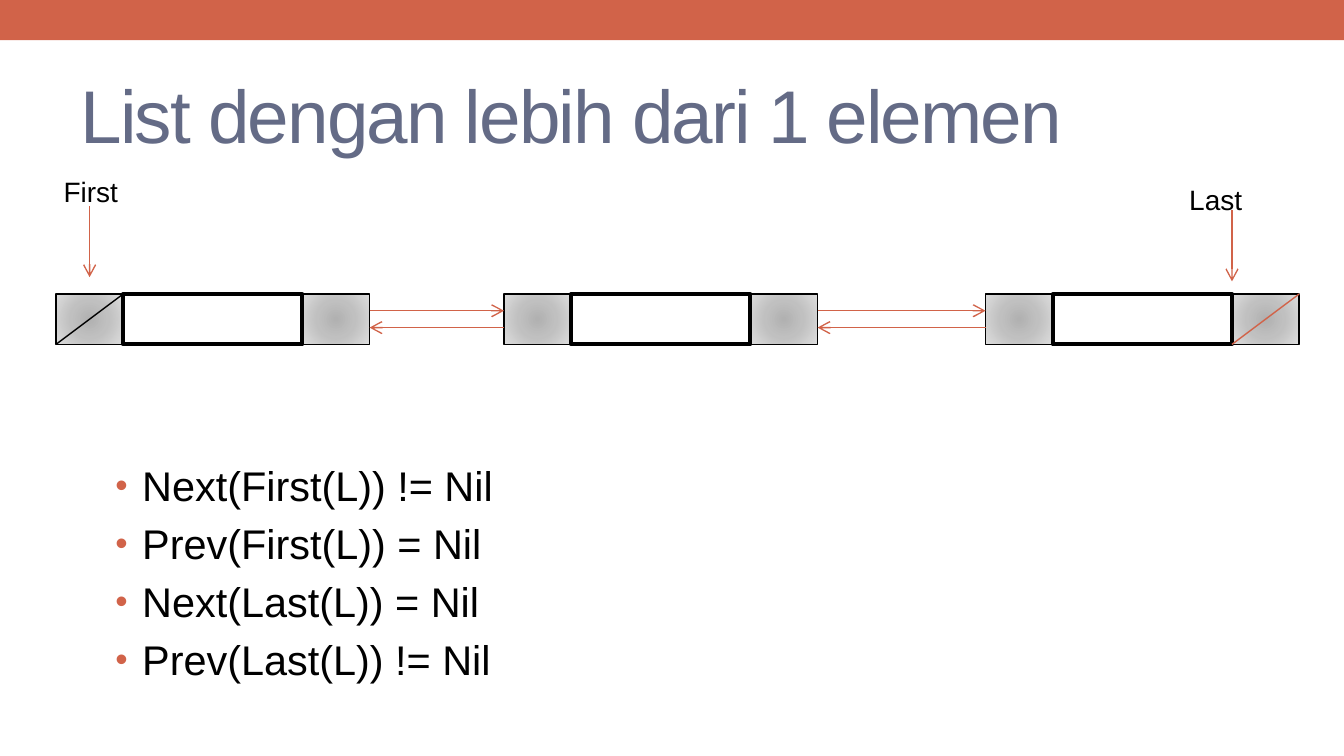
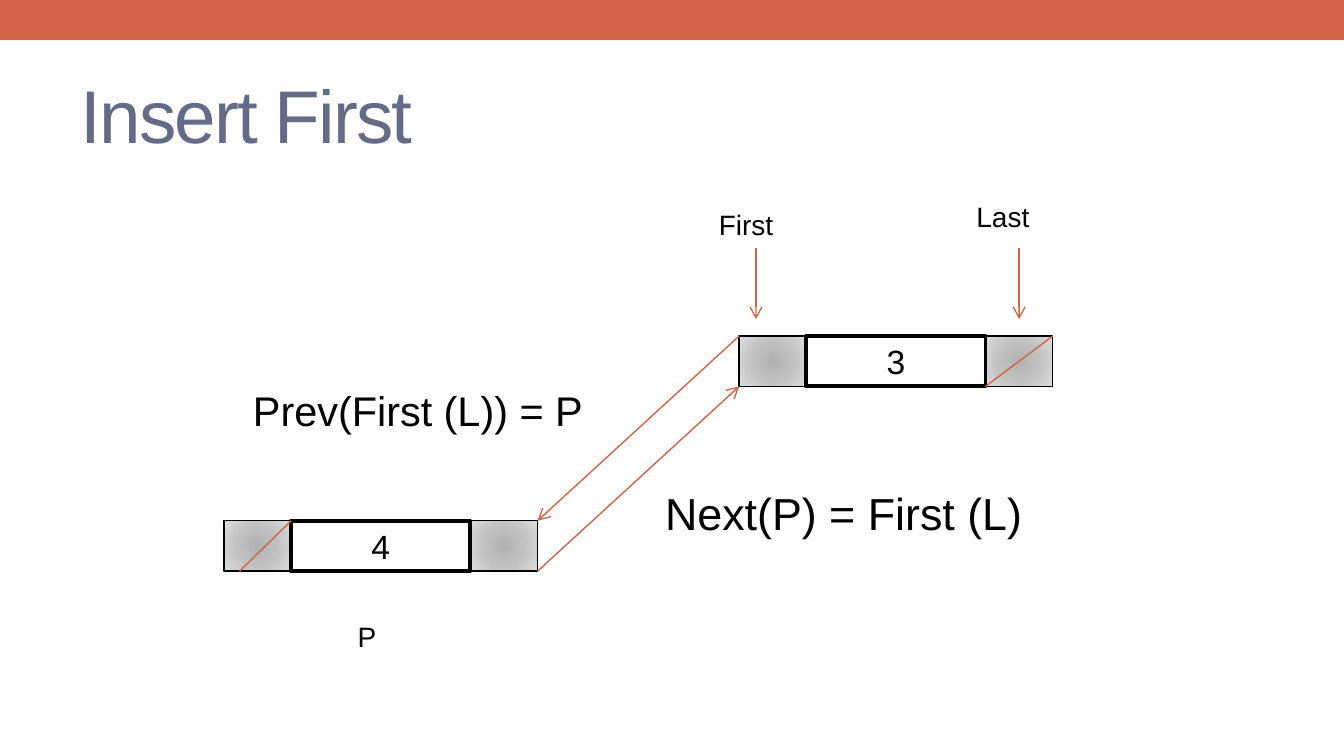
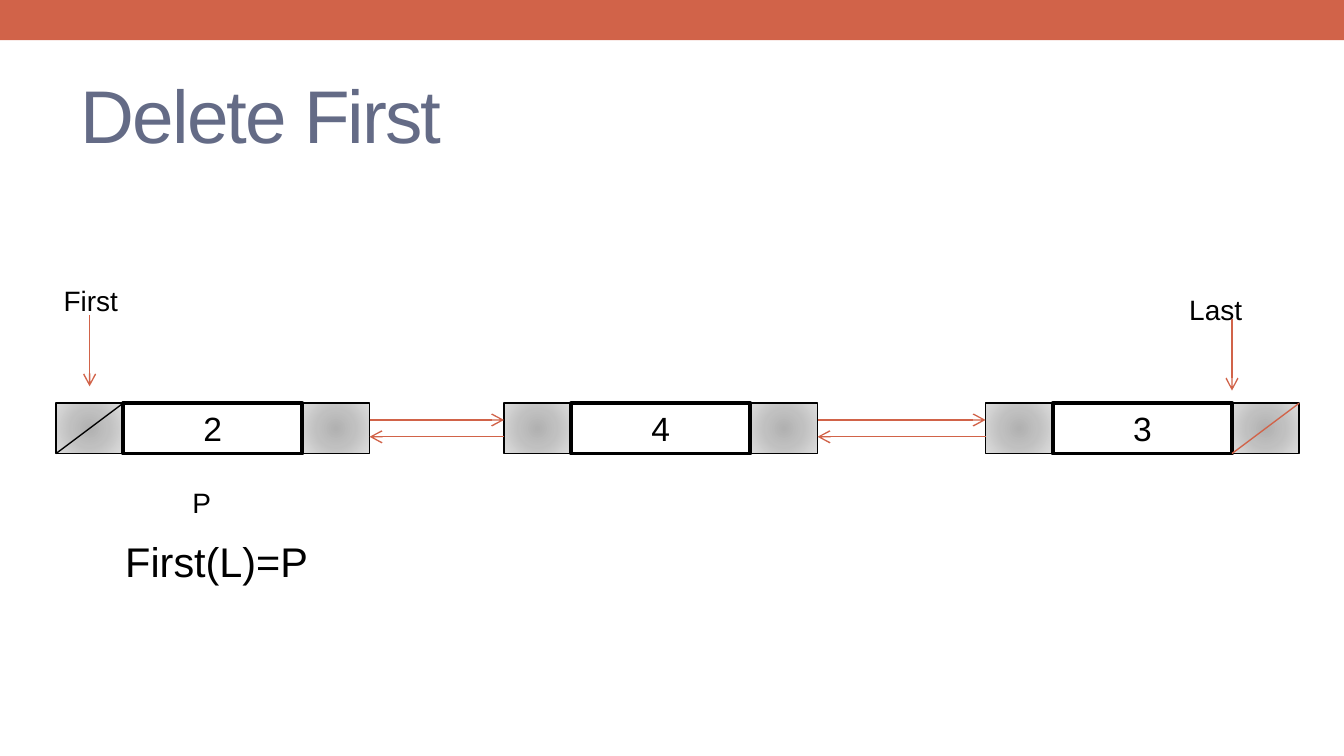
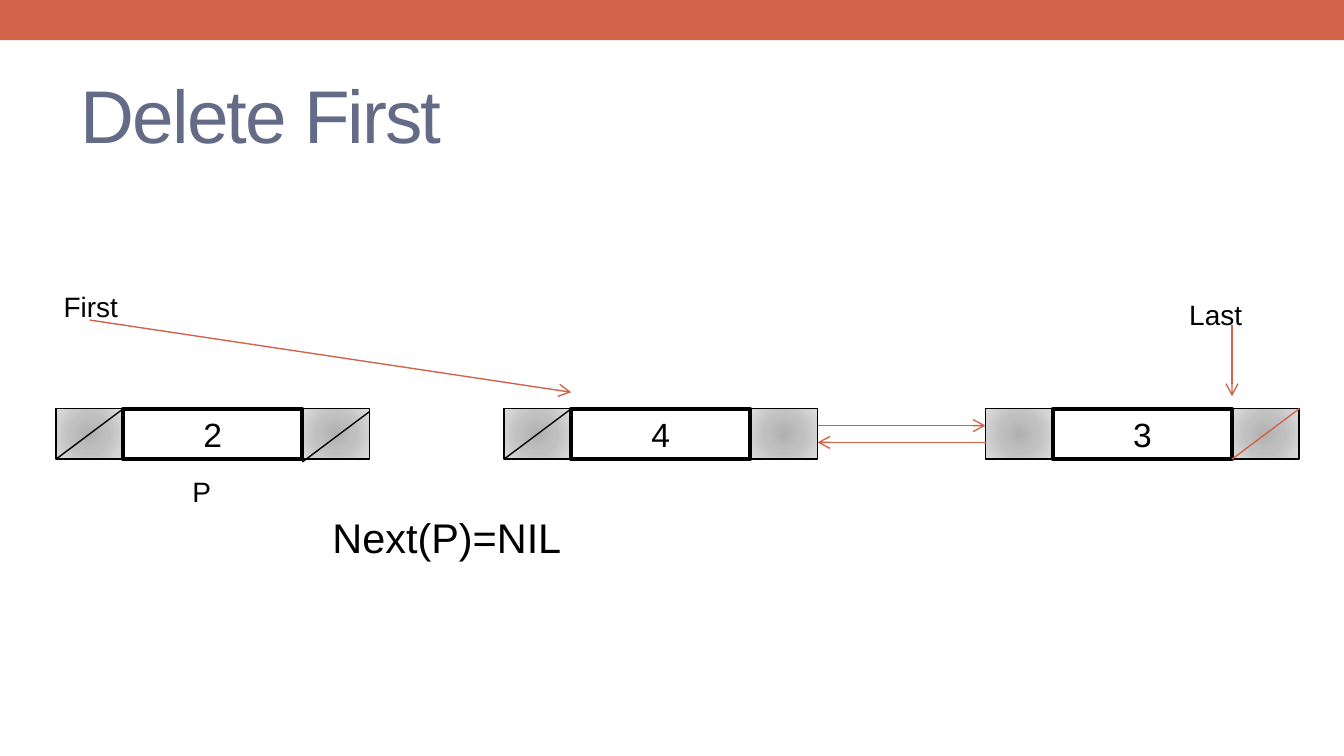
"""Build four slides on doubly linked lists."""
import lxml.etree
import pptx
import pptx.dml.color
import pptx.enum.shapes
import pptx.enum.text
import pptx.oxml
import pptx.oxml.ns
import pptx.util

HUES = {"band": "D16349", "title": "646B86", "ink": "000000", "cell": "FFFFFF"}
SHADE = {0: "B1B1B1", 45: "C0C0C0", 100: "DDDDDD"}
FACE = "Arial"
SPACE = '<a:spcBef %s><a:spcPct val="20000"/></a:spcBef>'
DOT = ('<a:buClr %s><a:srgbClr val="' + HUES["band"] + '"/></a:buClr>',
       '<a:buSzPct %s val="85000"/>', '<a:buFont %s typeface="Arial"/>',
       '<a:buChar %s char="•"/>')
STOPS = "".join(f'<a:gs pos="{at}000"><a:srgbClr val="{hue}"/></a:gs>'
                for at, hue in SHADE.items())
GRAD = ('<a:gradFill %s rotWithShape="1"><a:gsLst>' + STOPS + '</a:gsLst><a:path path="circle">'
        '<a:fillToRect l="100000" t="100000" r="100000" b="100000"/></a:path></a:gradFill>')
SPACE, GRAD, *DOT = [xml % pptx.oxml.ns.nsdecls("a") for xml in (SPACE, GRAD, *DOT)]

deck = pptx.Presentation()
deck.slide_width = pptx.util.Inches(10)
deck.slide_height = pptx.util.Inches(5.625)
COL, ROW = deck.slide_width / 120, deck.slide_height / 90
RECT = pptx.enum.shapes.MSO_SHAPE.RECTANGLE
PLACE = ("left", "top", "width", "height")
ALIGN = pptx.enum.text.PP_ALIGN
MID = pptx.enum.text.MSO_ANCHOR.MIDDLE
FIT = pptx.enum.text.MSO_AUTO_SIZE.NONE


def grid(*spots):
    """Turn column and row pairs into lengths."""
    return [round(spot * (ROW if i % 2 else COL)) for i, spot in enumerate(spots)]


def write(frame, lines, size, hue="ink", align=ALIGN.LEFT):
    """Fill a text frame with formatted lines."""
    form = {"word_wrap": True, "auto_size": FIT}
    for key, val in form.items():
        setattr(frame, key, val)
    frame.text = "\n".join(lines)
    for para in frame.paragraphs:
        para.alignment = align
        font = para.runs[0].font
        for key, val in {"name": FACE, "size": pptx.util.Pt(size)}.items():
            setattr(font, key, val)
        font.color.rgb = pptx.dml.color.RGBColor.from_string(HUES[hue])


def chain(y):
    """Give the links, slashes and arrow that each full list shares."""
    return [(73, y + 2, 88, y + 2, "band", True), (88, y + 4, 73, y + 4, "band", True),
            (110, y - 10, 110, y - 1.5, "band", True),
            (116, y, 110, y + 6, "band", False), (11, y, 5, y + 6, "ink", False)]


HEADS = {35: 35, 48: 48, 48.67: 48.67}
ENDS = {y: [("First", 4.5, y - 15, 9, 5, 15), ("Last", 105, y - 14, 10, 5, 15)] for y in HEADS}
PAIR = {y: [(33, y + 2, 45, y + 2, "band", True), (45, y + 4, 33, y + 4, "band", True),
            (8, y - 10.5, 8, y - 2, "band", True)] for y in HEADS}

PAGES = [
    {"title": "List dengan lebih dari 1 elemen",
     "list": ["Next(First(L)) != Nil", "Prev(First(L)) = Nil",
              "Next(Last(L)) = Nil", "Prev(Last(L)) != Nil"],
     "nodes": [(5, 35, ""), (45, 35, ""), (88, 35, "")],
     "notes": ENDS[35], "lines": chain(35) + PAIR[35]},
    {"title": "Insert First",
     "nodes": [(66, 40, "3"), (20, 62, "4")],
     "notes": [("First", 63, 23.9, 9, 5, 15), ("Last", 86, 23, 10, 5, 15),
               ("P", 30.75, 73, 4.5, 5, 15),
               ("Next(P) = First (L)", 58.2, 57, 35, 10, 24),
               ("Prev(First (L)) = P", 21.4, 45.1, 38, 7, 22.2)],
     "lines": [(94, 40, 88, 46, "band", False), (26, 62, 21.4, 68, "band", False),
               (67.5, 29.5, 67.5, 38, "band", True), (91, 29.5, 91, 38, "band", True),
               (48, 68, 66, 46, "band", True), (66, 40, 48, 62, "band", True)]},
    {"title": "Delete First",
     "nodes": [(5, 48, "2"), (45, 48, "4"), (88, 48, "3")],
     "notes": ENDS[48] + [("First(L)=P", 10, 63, 21, 7, 22.2), ("P", 16, 57, 6, 5, 15)],
     "lines": chain(48) + PAIR[48]},
    {"title": "Delete First",
     "nodes": [(5, 48.67, "2"), (45, 48.67, "4"), (88, 48.67, "3")],
     "notes": ENDS[48.67] + [("Next(P)=NIL", 28.5, 60.2, 33, 7, 22.2),
                             ("P", 16, 55.7, 6, 5, 15)],
     "lines": chain(48.67) + [(8, 38.1, 51, 46.7, "band", True),
                              (51, 48.67, 45, 54.67, "ink", False),
                              (33, 49, 27, 55, "ink", False)]},
]

for page in PAGES:
    slide = deck.slides.add_slide(deck.slide_layouts[1 if "list" in page else 5])
    shapes = slide.shapes
    if page is PAGES[0]:
        band = shapes.add_shape(RECT, 0, 0, *grid(120, 4.8))
        band.shadow.inherit = False
        band.fill.solid()
        band.fill.fore_color.rgb = pptx.dml.color.RGBColor.from_string(HUES["band"])
        band.line.fill.background()
        band.element.nvSpPr.cNvPr.set("id", "99")
        deck.slide_master.shapes.element.insert(2, band.element)

    title = shapes.title
    for key, val in zip(PLACE, grid(6, 7, 108, 13)):
        setattr(title, key, val)
    write(title.text_frame, [page["title"]], 40, "title")
    title.text_frame.vertical_anchor = MID
    title.text_frame.paragraphs[0].runs[0].font.element.set("spc", "-100") if hasattr(
        title.text_frame.paragraphs[0].runs[0].font, "element") else (
        title.text_frame.paragraphs[0].runs[0]._r.get_or_add_rPr().set("spc", "-100"))

    if "list" in page:
        body = slide.placeholders[1]
        for key, val in zip(PLACE, grid(9.1, 54, 45, 26)):
            setattr(body, key, val)
        write(body.text_frame, page["list"], 22.2)
        for para in body.text_frame.paragraphs:
            props = para._p.get_or_add_pPr()
            for key, val in {"marL": "182880", "indent": "-182880"}.items():
                props.set(key, val)
            for xml in (SPACE, *DOT):
                props.append(pptx.oxml.parse_xml(xml))

    for x, y, value in page["nodes"]:
        for left, wide, thick in ((x, 6, 0.75), (x + 22, 6, 0.75), (x + 6, 16, 2.08)):
            cell = shapes.add_shape(RECT, *grid(left, y, wide, 6))
            cell.shadow.inherit = False
            cell.line.color.rgb = pptx.dml.color.RGBColor.from_string(HUES["ink"])
            cell.line.width = pptx.util.Pt(thick)
            if wide == 6:
                cell.element.spPr.insert(2, pptx.oxml.parse_xml(GRAD))
                continue
            cell.fill.solid()
            cell.fill.fore_color.rgb = pptx.dml.color.RGBColor.from_string(HUES["cell"])
            if value:
                write(cell.text_frame, [value], 18, align=ALIGN.CENTER)
                cell.text_frame.vertical_anchor = MID

    for text, *spot, size in page["notes"]:
        note = shapes.add_textbox(*grid(*spot))
        write(note.text_frame, [text], size)
        props = note.text_frame.paragraphs[0]._p.get_or_add_pPr()
        props.append(pptx.oxml.parse_xml(SPACE))

    for *ends, hue, arrow in page["lines"]:
        line = shapes.add_connector(pptx.enum.shapes.MSO_CONNECTOR.STRAIGHT, *grid(*ends))
        line.line.color.rgb = pptx.dml.color.RGBColor.from_string(HUES[hue])
        line.line.width = pptx.util.Pt(0.75)
        props = line.element.spPr
        if arrow:
            tip = lxml.etree.SubElement(props.find(pptx.oxml.ns.qn("a:ln")),
                                        pptx.oxml.ns.qn("a:tailEnd"))
            tip.set("type", "arrow")
        lxml.etree.SubElement(props, pptx.oxml.ns.qn("a:effectLst"))

deck.save("out.pptx")
